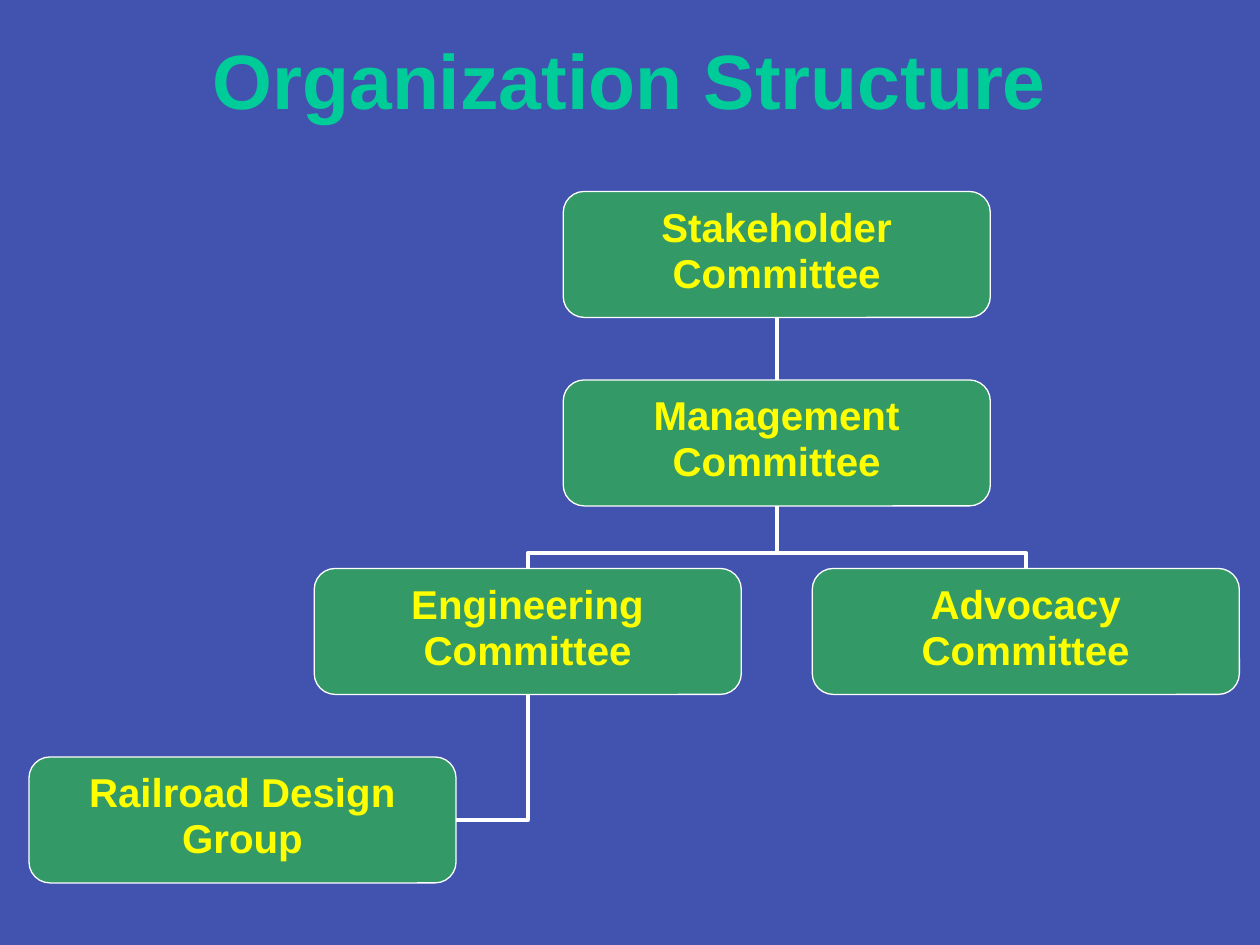
"""Build an organization chart slide with python-pptx."""
from lxml import etree
from pptx import Presentation
from pptx.dml.color import RGBColor
from pptx.enum.shapes import MSO_CONNECTOR, MSO_SHAPE
from pptx.enum.text import MSO_ANCHOR, PP_ALIGN
from pptx.oxml.ns import qn
from pptx.util import Cm, Pt

STRAIGHT, ELBOW = MSO_CONNECTOR.STRAIGHT, MSO_CONNECTOR.ELBOW
ROUNDED = MSO_SHAPE.ROUNDED_RECTANGLE
MIDDLE, CENTER = MSO_ANCHOR.MIDDLE, PP_ALIGN.CENTER

BLUE = RGBColor(0x41, 0x53, 0xAF)
TEAL = RGBColor(0x00, 0xCC, 0x99)
GREEN = RGBColor(0x33, 0x99, 0x66)
YELLOW = RGBColor(0xFF, 0xFF, 0x00)
WHITE = RGBColor(0xFF, 0xFF, 0xFF)

BOX_W, BOX_H = 8.61, 2.54
TOP, STEP = 3.86, 3.8
TRUNK_X, SPREAD = 15.66, 5.02


def write(tf, lines, size, color, spacing=1.0, before=0):
    """Fill a text frame with centred bold paragraphs."""
    tf.vertical_anchor = MIDDLE
    for i, line in enumerate(lines):
        p = tf.add_paragraph() if i else tf.paragraphs[0]
        p.alignment = CENTER
        p.line_spacing = spacing
        p.space_before = Pt(before if i else 0)
        r = p.add_run()
        r.text = line
        r.font.name, r.font.size, r.font.bold = "Arial", Pt(size), True
        r.font.color.rgb = color


class OrgChart:
    """Style and current slide of an organization chart."""

    def __init__(self, s):
        """Keep the slide and paint its background."""
        self.s = s
        s.background.fill.solid()
        s.background.fill.fore_color.rgb = BLUE

    def title(self, text):
        """Add the title across the top."""
        tf = self.s.shapes.add_textbox(0, 0, Cm(25.4), Cm(3.18)).text_frame
        tf.word_wrap = True
        write(tf, [text], 44, TEAL)

    def box(self, x, level, *lines):
        """Add a committee box centred at x on a level."""
        sp = self.s.shapes.add_shape(
            ROUNDED, Cm(x - BOX_W / 2), Cm(TOP + level * STEP), Cm(BOX_W), Cm(BOX_H))
        sp.shadow.inherit = False
        sp.fill.solid()
        sp.fill.fore_color.rgb = GREEN
        sp.line.color.rgb = WHITE
        sp.line.width = Pt(0.75)
        tf = sp.text_frame
        tf.word_wrap = False
        tf.margin_left = tf.margin_right = tf.margin_top = tf.margin_bottom = 0
        write(tf, lines, 23, YELLOW, spacing=0.75, before=5.8)
        return sp

    def line(self, x1, y1, x2, y2, kind=ELBOW):
        """Add a white connector between two points."""
        c = self.s.shapes.add_connector(kind, *(int(v) for v in (x1, y1, x2, y2)))
        c.line.color.rgb = WHITE
        c.line.width = Pt(2.25)
        etree.SubElement(c._element.spPr, qn("a:effectLst"))
        return c

    def drop(self, parent, child):
        """Join a parent's bottom to the top of a child straight below."""
        x = parent.left + parent.width / 2
        self.line(x, parent.top + parent.height, x, child.top, STRAIGHT)

    def branch(self, parent, child):
        """Join a child's top to its parent's bottom by a turned elbow."""
        bottom = parent.top + parent.height
        dx, dy = child.left - parent.left, child.top - bottom
        cx = (parent.left + child.left + parent.width) / 2
        cy = bottom + dy / 2
        half_w = dy / 2 if dx > 0 else -dy / 2
        half_h = abs(dx) / 2
        c = self.line(cx - half_w, cy + half_h, cx + half_w, cy - half_h)
        c.rotation = 0
        spPr = c._element.spPr
        spPr.find(qn("a:xfrm")).set("rot", str((270 if dx > 0 else 90) * 60000))
        guides = spPr.find(qn("a:prstGeom")).get_or_add_avLst()
        etree.SubElement(guides, qn("a:gd"), name="adj1", fmla="val 25000")

    def side(self, parent, child):
        """Join a child's right side to its parent's bottom."""
        c = self.line(child.left + child.width, child.top + child.height / 2,
                      parent.left + parent.width / 2, parent.top + parent.height)
        c._element.spPr.find(qn("a:prstGeom")).set("prst", "bentConnector2")


def main():
    """Build and save the slide."""
    prs = Presentation()
    prs.slide_width, prs.slide_height = Cm(25.4), Cm(19.05)
    chart = OrgChart(prs.slides.add_slide(prs.slide_layouts[6]))
    chart.title("Organization Structure")
    stakeholder = chart.box(TRUNK_X, 0, "Stakeholder", "Committee")
    management = chart.box(TRUNK_X, 1, "Management", "Committee")
    engineering = chart.box(TRUNK_X - SPREAD, 2, "Engineering", "Committee")
    advocacy = chart.box(TRUNK_X + SPREAD, 2, "Advocacy", "Committee")
    design = chart.box(4.89, 3, "Railroad Design", "Group")
    chart.drop(stakeholder, management)
    for child in (engineering, advocacy):
        chart.branch(management, child)
    chart.side(engineering, design)
    prs.save("out.pptx")


if __name__ == "__main__":
    main()
